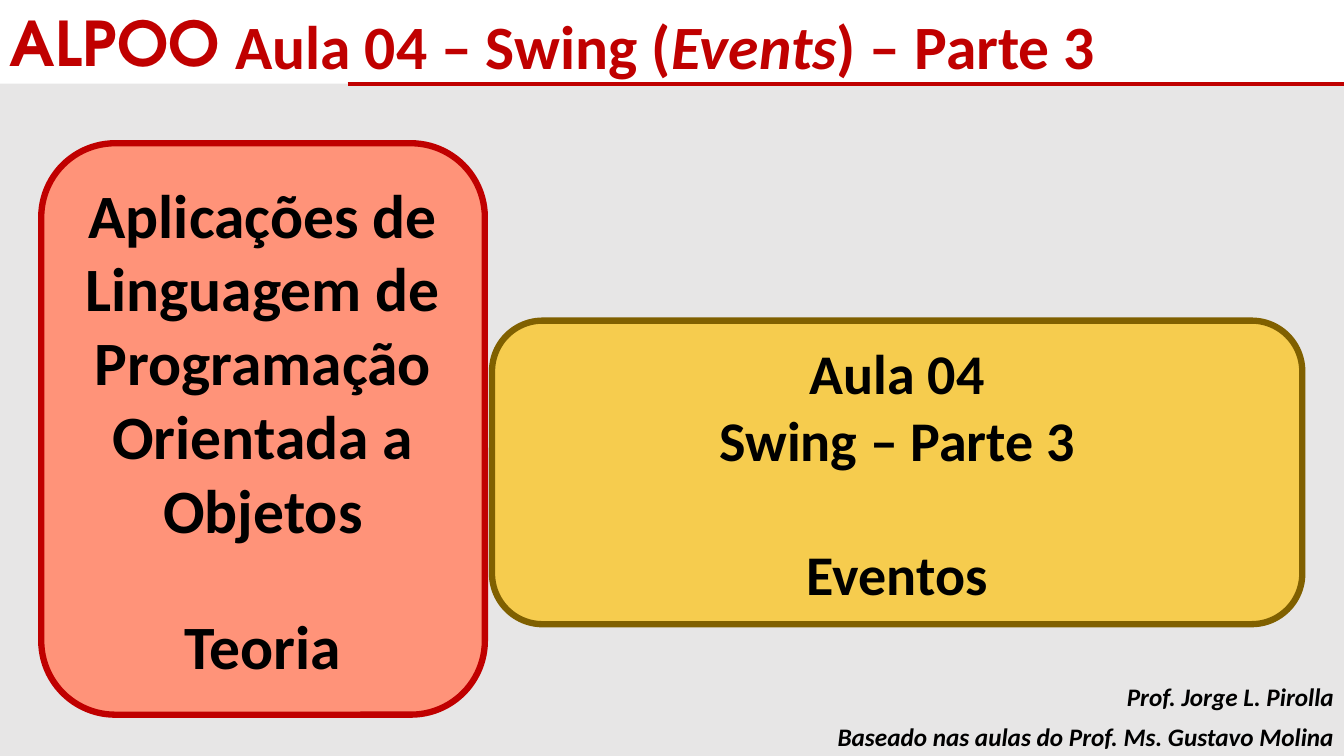
from collections import namedtuple
from dataclasses import dataclass

from lxml import etree
from pptx import Presentation
from pptx.dml.color import RGBColor
from pptx.enum.shapes import MSO_CONNECTOR, MSO_SHAPE
from pptx.enum.text import MSO_ANCHOR, MSO_AUTO_SIZE, PP_ALIGN
from pptx.oxml.ns import qn
from pptx.util import Cm, Pt

LEFT, CENTER, RIGHT = PP_ALIGN.LEFT, PP_ALIGN.CENTER, PP_ALIGN.RIGHT
TOP, MIDDLE = MSO_ANCHOR.TOP, MSO_ANCHOR.MIDDLE
RECTANGLE, ROUNDED = MSO_SHAPE.RECTANGLE, MSO_SHAPE.ROUNDED_RECTANGLE
STRAIGHT = MSO_CONNECTOR.STRAIGHT
NO_AUTOFIT = MSO_AUTO_SIZE.NONE
TITLE_ONLY = 5

Box = namedtuple("Box", "left top width height")


@dataclass(frozen=True)
class Theme:
    red: str = "C00000"
    salmon: str = "FF9379"
    gold: str = "FFC000"
    brown: str = "806000"
    gray: str = "E7E6E6"
    black: str = "000000"
    font: str = "Calibri"
    brand_font: str = "TeX Gyre Adventor"
    heading: int = 44
    lesson: int = 40
    credit: int = 18
    border: float = 4.5
    rule: int = 3


THEME = Theme()
SLIDE = Box(0, 0, 33.87, 19.05)
HEADER = Box(0, 0, SLIDE.width, 2.11)
COURSE = Box(1.04, 3.61, 11.18, 14.4)
LESSON = Box(12.4, 8.08, 20.42, 7.65)
CREDITS = Box(20.73, 17.04, 13.14, 2.0)


def in_cm(box):
    return [Cm(length) for length in box]


def apply_format(target, values):
    for name, value in values.items():
        setattr(target, name, value)


def write(frame, paragraphs, size, color, align, anchor=TOP, wrap=True,
          font=THEME.font, gap=0):
    """Fill frame with paragraphs of (text, italic) runs; gap precedes the last one."""
    apply_format(frame, {"auto_size": NO_AUTOFIT, "word_wrap": wrap,
                         "vertical_anchor": anchor})
    for index, runs in enumerate(paragraphs):
        paragraph = frame.paragraphs[0] if index == 0 else frame.add_paragraph()
        is_last = index == len(paragraphs) - 1
        apply_format(paragraph, {"alignment": align, "line_spacing": 1.0,
                                 "space_before": Pt(gap if is_last else 0)})
        for text, italic in runs:
            run = paragraph.add_run()
            run.text = text
            apply_format(run.font, {"name": font, "size": Pt(size),
                                    "bold": True, "italic": italic})
            run.font.color.rgb = RGBColor.from_string(color)


def add_filled(slide, kind, box, fill, border=None, opacity=100):
    shape = slide.shapes.add_shape(kind, *in_cm(box))
    shape.shadow.inherit = False
    shape.fill.solid()
    shape.fill.fore_color.rgb = RGBColor.from_string(fill)
    if opacity < 100:
        color = shape.fill._xPr.find(".//" + qn("a:srgbClr"))
        etree.SubElement(color, qn("a:alpha"), val=str(opacity * 1000))
    if border:
        shape.line.color.rgb = RGBColor.from_string(border)
        shape.line.width = Pt(THEME.border)
    else:
        shape.line.fill.background()
    return shape


def add_backdrop(slide, box):
    """Gray area below the header, with the red rule on its upper edge."""
    add_filled(slide, RECTANGLE, box, THEME.gray)
    rule = slide.shapes.add_connector(
        STRAIGHT, Cm(box.left + 8.76), Cm(box.top),
        Cm(box.left + box.width), Cm(box.top))
    rule.line.color.rgb = RGBColor.from_string(THEME.red)
    rule.line.width = Pt(THEME.rule)
    etree.SubElement(rule.line._ln.getparent(), qn("a:effectLst"))


def add_header(slide, box):
    acronym = slide.shapes.add_textbox(
        *in_cm(Box(box.left, box.top, 6.12, box.height)))
    write(acronym.text_frame, [[("ALPOO", False)]], THEME.heading, THEME.red,
          LEFT, wrap=False, font=THEME.brand_font)

    title = slide.shapes.title
    title_box = Box(box.left + 5.33, box.top + 0.08, 22.53, box.height)
    apply_format(title, dict(zip(Box._fields, in_cm(title_box))))
    runs = [("Aula 04 – Swing (", False), ("Events", True), (") – Parte 3", False)]
    write(title.text_frame, [runs], THEME.heading, THEME.red, RIGHT)


def add_card(slide, box, lines, size, gap, fill, border, opacity=100):
    card = add_filled(slide, ROUNDED, box, fill, border, opacity)
    write(card.text_frame, [[(line, False)] for line in lines], size,
          THEME.black, CENTER, anchor=MIDDLE, gap=gap)


def add_credits(slide, box):
    row_height = box.height / 2
    credits = ["Prof. Jorge L. Pirolla", "Baseado nas aulas do Prof. Ms. Gustavo Molina"]
    for row, credit in enumerate(credits):
        line_box = Box(box.left, box.top + row * row_height, box.width, row_height)
        credit_box = slide.shapes.add_textbox(*in_cm(line_box))
        write(credit_box.text_frame, [[(credit, True)]], THEME.credit,
              THEME.black, RIGHT)


def main():
    deck = Presentation()
    deck.slide_width, deck.slide_height = Cm(SLIDE.width), Cm(SLIDE.height)
    slide = deck.slides.add_slide(deck.slide_layouts[TITLE_ONLY])
    add_backdrop(slide, Box(0, HEADER.height, SLIDE.width,
                            SLIDE.height - HEADER.height))
    add_header(slide, HEADER)
    add_card(slide, COURSE,
             ["Aplicações de Linguagem de Programação Orientada a Objetos", "Teoria"],
             THEME.heading, 44, THEME.salmon, THEME.red)
    add_card(slide, LESSON, ["Aula 04", "Swing – Parte 3", "Eventos"],
             THEME.lesson, 48, THEME.gold, THEME.brown, opacity=66)
    add_credits(slide, CREDITS)
    deck.save("out.pptx")


if __name__ == "__main__":
    main()
